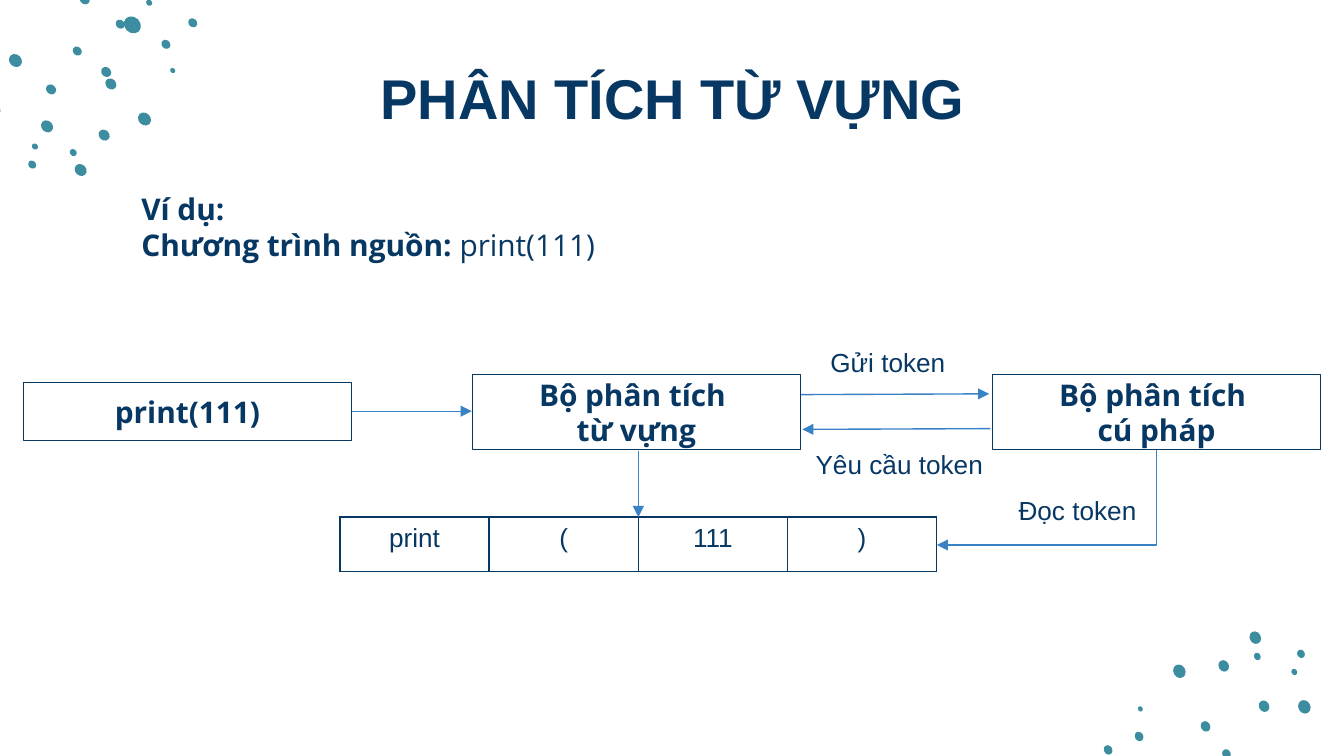
from lxml.etree import SubElement
from pptx import Presentation
from pptx.dml.color import RGBColor
from pptx.enum.shapes import MSO_CONNECTOR as Link, MSO_SHAPE as Preset
from pptx.enum.text import MSO_ANCHOR as Anchor, PP_ALIGN as Align
from pptx.oxml.ns import qn
from pptx.util import Inches, Pt

THEME = {
    "navy": RGBColor.from_string("073763"), "arrow": RGBColor.from_string("3882C5"),
    "dot": RGBColor.from_string("3C8DA0"), "paper": RGBColor.from_string("FFFFFF"),
    "plain": "Arial", "accent": "Open Sans",
    "title": 30, "body": 16, "label": 14, "line": 0.75, "border": 1,
}
WIDTH = 10
HEIGHT = WIDTH * 9 / 16

# Content; places are (left, top, width, height) in percent of the slide
TITLE = ("PHÂN TÍCH TỪ VỰNG", (8.1, 7.3, 83.9, 11.2))
EXAMPLE_AT = (9.53, 21.2, 37.2, 17.6)
EXAMPLE = [[("Ví dụ:", True)], [("Chương trình nguồn: ", True), ("print(111)", False)]]
STAGES = [
    (["print(111)"], (1.75, 50.6, 24.4, 7.7)),
    (["Bộ phân tích ", "từ vựng"], (35.15, 49.5, 24.4, 10)),
    (["Bộ phân tích ", "cú pháp"], (73.85, 49.5, 24.4, 10)),
]
TOKENS, TOKENS_AT = ["print", "(", "111", ")"], (25.3, 68.4, 44.4, 7.2)
LABELS = [
    ("Gửi token", (60.8, 45, 11.5, 6)),
    ("Yêu cầu token", (59.7, 58.4, 15, 6)),
    ("Đọc token", (74.8, 64.5, 11.2, 6)),
]
ARROWS = [
    ((26.2, 54.4), (35.1, 54.4)),
    ((47.5, 59.7), (47.5, 68.4)),
    ((59.6, 52.2), (73.6, 52.1)),
    ((73.7, 56.7), (59.7, 56.8)),
]
READ_ARROW = ((86.05, 59.6), (69.7, 72.1))

# Dots by tilt: centre x, centre y, length, all in percent of the slide width
DOT_SCALE, DOT_RATIO = 0.8, 0.86
DOTS = {
    225: [(9.85, 1.85, 1.7), (11.1, 0.2, 0.6), (6.3, -0.05, 1), (8.95, 1.8, 0.9),
          (5.75, 3.8, 0.9), (7.9, 5.35, 1), (8.25, 6.25, 1.1), (3.8, 6.65, 1),
          (7.75, 10.05, 1.1), (3.5, 9.4, 1.2), (5.45, 11.35, 0.7), (6, 12.65, 1.2),
          (2.6, 10.9, 0.6), (2.4, 12.25, 0.8), (10.75, 8.85, 1.3), (14.35, 1.7, 0.9),
          (12.35, 3.3, 0.9), (12.85, 5.25, 0.5), (1.15, 4.5, 1.3), (-0.45, 8.15, 1.3)],
    60.3: [(91.25, 56.1, 0.9), (89.7, 54.05, 1), (94.05, 52.55, 1.1), (91.05, 49.55, 1.1),
           (93.55, 48.85, 0.7), (93.4, 47.45, 1.2), (96.3, 50, 0.6), (96.8, 48.65, 0.8),
           (87.75, 49.95, 1.3), (82.45, 55.8, 0.9), (84.75, 54.8, 0.9), (84.85, 52.75, 0.5),
           (97.05, 52.6, 1.3)],
}

deck = Presentation()
deck.slide_width, deck.slide_height = Inches(WIDTH), Inches(HEIGHT)
slide = deck.slides.add_slide(deck.slide_layouts[6])
shapes = slide.shapes


def place(*shares):
    """Turn alternating x and y percentages into lengths."""
    return [Inches(share * (HEIGHT if i % 2 else WIDTH) / 100) for i, share in enumerate(shares)]


def apply(target, **values):
    for key, value in values.items():
        setattr(target, key, value)


def write(paragraph, text, font, size, bold=False):
    run = paragraph.add_run()
    run.text = text
    apply(run.font, name=THEME[font], size=Pt(THEME[size]), bold=bold)
    run.font.color.rgb = THEME["navy"]


def frame_of(shape, anchor=Anchor.MIDDLE, inset=0.1):
    frame, margin = shape.text_frame, Inches(inset)
    apply(frame, word_wrap=True, vertical_anchor=anchor,
          margin_top=margin, margin_bottom=margin)
    return frame


def arrow(begin, end):
    link = shapes.add_connector(Link.STRAIGHT, *begin, *end)
    link.line.color.rgb = THEME["arrow"]
    link.line.width = Pt(THEME["line"])
    SubElement(link.line._get_or_add_ln(), qn("a:tailEnd"), type="triangle")
    SubElement(link._element.spPr, qn("a:effectLst"))
    return link


# Corner dots
for tilt, dots in DOTS.items():
    for x, y, length in dots:
        cx, cy, long = (Inches(share * WIDTH / 100) for share in (x, y, length * DOT_SCALE))
        short = int(long * DOT_RATIO)
        dot = shapes.add_shape(Preset.OVAL, cx - long // 2, cy - short // 2, long, short)
        dot.rotation, dot.shadow.inherit = tilt, False
        dot.fill.solid()
        dot.fill.fore_color.rgb = THEME["dot"]
        dot.line.fill.background()

# Title and example
heading, heading_at = TITLE
line = frame_of(shapes.add_textbox(*place(*heading_at))).paragraphs[0]
line.alignment = Align.CENTER
write(line, heading, "plain", "title", True)

line = frame_of(shapes.add_textbox(*place(*EXAMPLE_AT))).paragraphs[0]
for row, parts in enumerate(EXAMPLE):
    if row:
        line.add_line_break()
    for text, bold in parts:
        write(line, text, "accent", "body", bold)

# Stages
for lines, area in STAGES:
    stage = shapes.add_shape(Preset.RECTANGLE, *place(*area))
    stage.shadow.inherit = False
    stage.fill.background()
    stage.line.color.rgb = THEME["navy"]
    stage.line.width = Pt(THEME["line"])
    frame = frame_of(stage)
    for row, text in enumerate(lines):
        line = frame.add_paragraph() if row else frame.paragraphs[0]
        line.alignment = Align.CENTER
        write(line, text, "accent", "body", True)

# Token table
tokens = shapes.add_table(1, len(TOKENS), *place(*TOKENS_AT)).table
for cell, token in zip(tokens.rows[0].cells, TOKENS):
    line = cell.text_frame.paragraphs[0]
    line.alignment = Align.CENTER
    write(line, token, "plain", "label")
    props = cell._tc.get_or_add_tcPr()
    for side in ("lnL", "lnR", "lnT", "lnB"):
        border = SubElement(props, qn(f"a:{side}"), w=str(Pt(THEME["border"])))
        SubElement(SubElement(border, qn("a:solidFill")), qn("a:srgbClr"), val=str(THEME["navy"]))
    cell.fill.solid()
    cell.fill.fore_color.rgb = THEME["paper"]

# Arrows
for begin, end in ARROWS:
    arrow(place(*begin), place(*end))

# Right-angled arrow: a quarter turn swaps its width and height about the centre
(x1, y1), (x2, y2) = (place(*point) for point in READ_ARROW)
cx, cy, half_w, half_h = (x1 + x2) // 2, (y1 + y2) // 2, (y2 - y1) // 2, (x1 - x2) // 2
read = arrow((cx - half_w, cy - half_h), (cx + half_w, cy + half_h))
read._element.spPr.find(qn("a:prstGeom")).set("prst", "bentConnector2")
read._element.spPr.find(qn("a:xfrm")).set("rot", str(90 * 60000))

# Arrow labels
for text, area in LABELS:
    label = frame_of(shapes.add_textbox(*place(*area)), Anchor.TOP, 0.05)
    write(label.paragraphs[0], text, "plain", "label")

deck.save("out.pptx")
